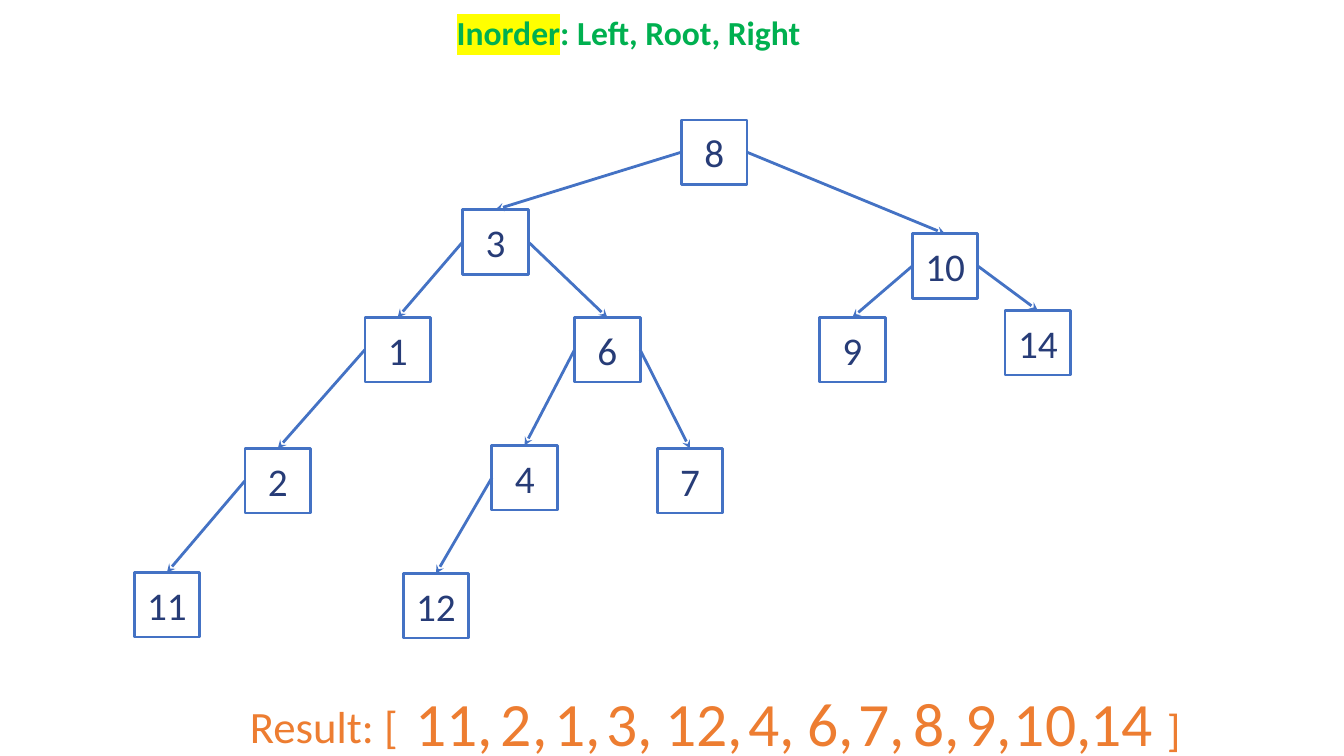
"""Build a slide that shows the inorder traversal of a binary tree."""
from collections.abc import Iterator
from dataclasses import dataclass

from lxml.etree import SubElement
from pptx import Presentation
from pptx.dml.color import RGBColor
from pptx.enum.shapes import MSO_CONNECTOR, MSO_SHAPE
from pptx.enum.text import MSO_ANCHOR, MSO_AUTO_SIZE, PP_ALIGN
from pptx.oxml.ns import qn
from pptx.shapes.autoshape import Shape
from pptx.slide import Slide
from pptx.text.text import TextFrame, _Run
from pptx.util import Emu, Inches, Pt


@dataclass(frozen=True)
class Theme:
    """Colours, font and sizes of the slide."""
    font: str = "Calibri"
    title: str = "00B050"
    highlight: str = "FFFF00"
    fill: str = "FFFFFF"
    edge: str = "4472C4"
    key: str = "273C77"
    result: str = "ED7D31"
    title_size: int = 24
    key_size: int = 28
    label_size: int = 32
    value_size: int = 44
    line_width: int = 2


@dataclass(frozen=True)
class Box:
    """A rectangle in percent of the slide's width and height."""
    left: float
    top: float
    width: float
    height: float

    def emu(self) -> tuple[Emu, Emu, Emu, Emu]:
        """Return the rectangle in slide units."""
        return (Emu(int(WIDTH * self.left / 100)), Emu(int(HEIGHT * self.top / 100)),
                Emu(int(WIDTH * self.width / 100)), Emu(int(HEIGHT * self.height / 100)))


@dataclass(frozen=True)
class Node:
    """A tree node with its corner in percent of the slide and its children."""
    key: int
    left: float
    top: float
    before: "Node | None" = None
    after: "Node | None" = None


WIDTH, HEIGHT = Inches(13.333), Inches(7.5)
THEME = Theme()
NODE_WIDTH, NODE_HEIGHT = 4.88, 8.53
TOP_SITE, LEFT_SITE, RIGHT_SITE = 0, 1, 3
TITLE_BOX = Box(33.23, 0.93, 27.38, 6.67)
LABEL_BOX = Box(17.85, 91.73, 12.68, 8.53)
VALUE_TOP, VALUE_HEIGHT = 90, 11.2
VALUE_WIDTHS = {1: 5.03, 2: 7.35}
LAST_WIDTH = 8.25
VALUE_LEFTS = (30.15, 36.53, 40.5, 44.4, 48.75, 54.98,
               59.33, 63.15, 67.2, 71.1, 74.7, 80.4)
TREE = Node(
    8, 50.7, 15.87,
    Node(3, 34.43, 27.73,
         Node(1, 27.15, 42, Node(2, 18.23, 59.33, Node(11, 9.98, 75.73))),
         Node(6, 42.75, 42,
              Node(4, 36.6, 58.93, Node(12, 30, 75.87)),
              Node(7, 48.9, 59.33))),
    Node(10, 67.88, 30.93, Node(9, 60.98, 42), Node(14, 74.78, 41.07)))


def inorder(node: Node | None) -> Iterator[int]:
    """Yield the keys of a tree as left, root, right."""
    if node:
        yield from inorder(node.before)
        yield node.key
        yield from inorder(node.after)


def add_run(tf: TextFrame, text: str, size: int, color: str, bold: bool = False) -> _Run:
    """Append a formatted run to the first paragraph."""
    r = tf.paragraphs[0].add_run()
    r.text = text
    r.font.name, r.font.size, r.font.bold = THEME.font, Pt(size), bold
    r.font.color.rgb = RGBColor.from_string(color)
    return r


def fit_text(tf: TextFrame) -> None:
    """Keep a text frame on one line and fit its shape to the text."""
    tf.word_wrap = False
    tf.auto_size = MSO_AUTO_SIZE.SHAPE_TO_FIT_TEXT


def add_title(slide: Slide) -> None:
    """Place the title and highlight its first word."""
    sp = slide.shapes.title
    sp.left, sp.top, sp.width, sp.height = TITLE_BOX.emu()
    tf = sp.text_frame
    fit_text(tf)
    tf.vertical_anchor = MSO_ANCHOR.TOP
    tf.paragraphs[0].alignment = PP_ALIGN.LEFT
    r = add_run(tf, "Inorder", THEME.title_size, THEME.title, True)
    highlight = r.font._element.makeelement(qn("a:highlight"))
    SubElement(highlight, qn("a:srgbClr"), val=THEME.highlight)
    r.font._element.find(qn("a:solidFill")).addnext(highlight)
    add_run(tf, ": Left, Root, Right", THEME.title_size, THEME.title, True)


def add_arrow(slide: Slide, parent: Shape, site: int, child: Shape) -> None:
    """Connect a side of the parent to the top of the child."""
    cxn = slide.shapes.add_connector(MSO_CONNECTOR.STRAIGHT, 0, 0, 0, 0)
    cxn.begin_connect(parent, site)
    cxn.end_connect(child, TOP_SITE)
    cxn.line.color.rgb = RGBColor.from_string(THEME.edge)
    cxn.line.width = Pt(THEME.line_width)
    SubElement(cxn.line._get_or_add_ln(), qn("a:tailEnd"), type="stealth")
    SubElement(cxn._element.spPr, qn("a:effectLst"))


def add_tree(slide: Slide, node: Node) -> Shape:
    """Draw a node, its subtrees and the arrows to them."""
    box = Box(node.left, node.top, NODE_WIDTH, NODE_HEIGHT)
    sp = slide.shapes.add_shape(MSO_SHAPE.RECTANGLE, *box.emu())
    sp.shadow.inherit = False
    sp.fill.solid()
    sp.fill.fore_color.rgb = RGBColor.from_string(THEME.fill)
    sp.line.color.rgb = RGBColor.from_string(THEME.edge)
    sp.line.width = Pt(THEME.line_width)
    tf = sp.text_frame
    tf.vertical_anchor = MSO_ANCHOR.MIDDLE
    tf.paragraphs[0].alignment = PP_ALIGN.CENTER
    add_run(tf, str(node.key), THEME.key_size, THEME.key)
    for child, site in ((node.before, LEFT_SITE), (node.after, RIGHT_SITE)):
        if child:
            add_arrow(slide, sp, site, add_tree(slide, child))
    return sp


def add_text(slide: Slide, box: Box, text: str, size: int) -> TextFrame:
    """Add one piece of the result line."""
    tf = slide.shapes.add_textbox(*box.emu()).text_frame
    fit_text(tf)
    add_run(tf, text, size, THEME.result)
    return tf


def add_result(slide: Slide, keys: list[int]) -> None:
    """Write the visited keys between brackets."""
    add_text(slide, LABEL_BOX, "Result: [", THEME.label_size)
    for key, left in zip(keys[:-1], VALUE_LEFTS):
        box = Box(left, VALUE_TOP, VALUE_WIDTHS[len(str(key))], VALUE_HEIGHT)
        add_text(slide, box, f"{key},", THEME.value_size)
    box = Box(VALUE_LEFTS[-1], VALUE_TOP, LAST_WIDTH, VALUE_HEIGHT)
    tf = add_text(slide, box, f"{keys[-1]} ", THEME.value_size)
    add_run(tf, "]", THEME.label_size, THEME.result)


def main() -> None:
    """Build and save the presentation."""
    prs = Presentation()
    prs.slide_width, prs.slide_height = WIDTH, HEIGHT
    slide = prs.slides.add_slide(prs.slide_layouts.get_by_name("Title Only"))
    add_title(slide)
    add_tree(slide, TREE)
    add_result(slide, list(inorder(TREE)))
    prs.save("out.pptx")


main()
